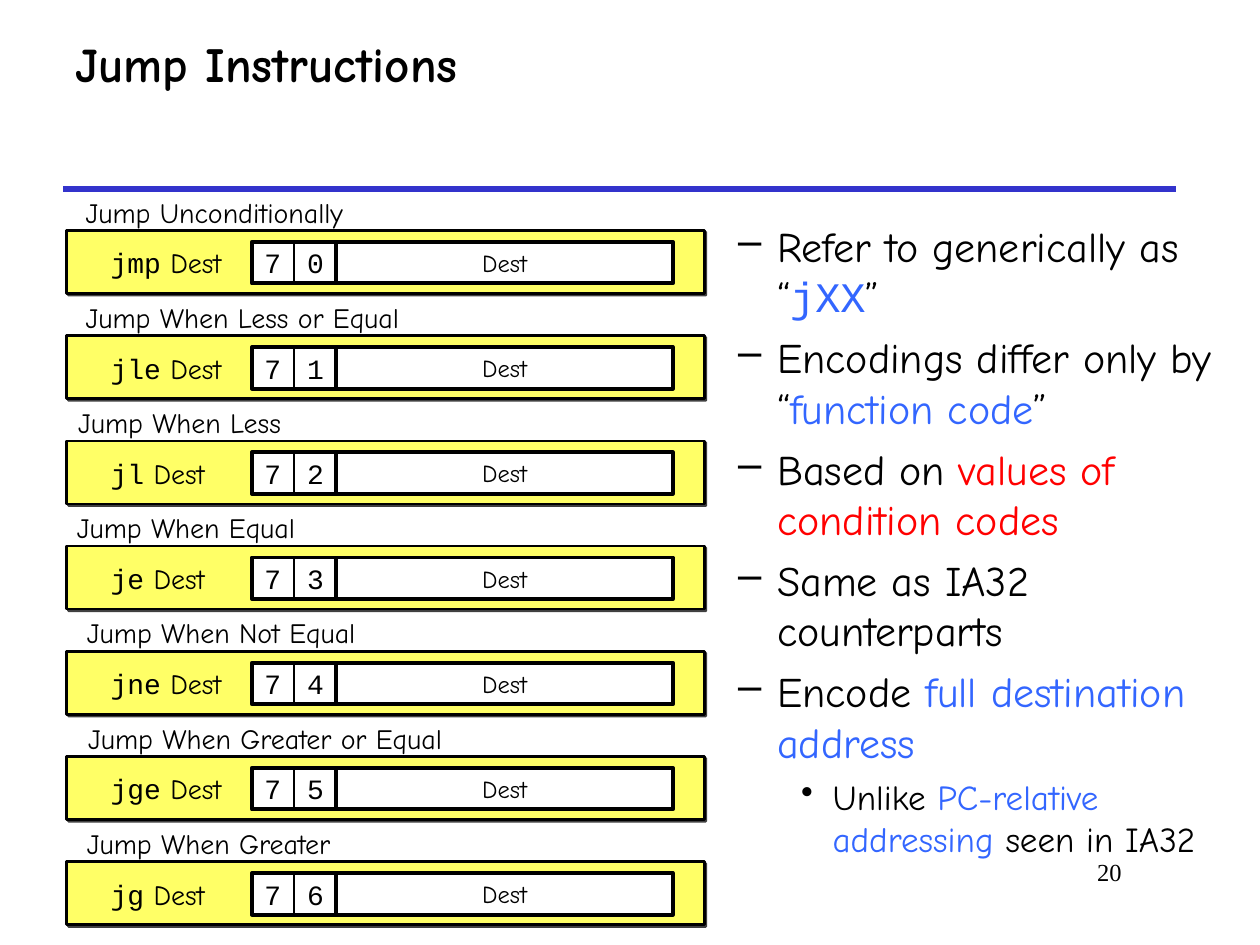
from lxml import etree
from pptx import Presentation
from pptx.dml.color import RGBColor
from pptx.enum.shapes import MSO_CONNECTOR, MSO_SHAPE
from pptx.enum.text import MSO_ANCHOR, MSO_AUTO_SIZE, PP_ALIGN
from pptx.oxml.ns import qn
from pptx.util import Inches, Pt

RECT, STRAIGHT = MSO_SHAPE.RECTANGLE, MSO_CONNECTOR.STRAIGHT
TOP, MIDDLE = MSO_ANCHOR.TOP, MSO_ANCHOR.MIDDLE
LEFT, CENTER, RIGHT = PP_ALIGN.LEFT, PP_ALIGN.CENTER, PP_ALIGN.RIGHT
GROW = MSO_AUTO_SIZE.SHAPE_TO_FIT_TEXT

COLORS = {"black": "000000", "white": "FFFFFF", "yellow": "FFFF66",
          "rule": "3333CC", "blue": "3366FF", "red": "FF0000"}
COMIC, MONO, SERIF = "Comic Neue", "Courier New", "Times New Roman"

TITLE = "Jump Instructions"
PAGE_NUMBER = "20"

# mnemonic, label, label left, label width; the row index is the function code
JUMPS = [
    ("jmp", "Jump Unconditionally", 0.63, 2.16),
    ("jle", "Jump When Less or Equal", 0.63, 2.61),
    ("jl", "Jump When Less", 0.57, 1.74),
    ("je", "Jump When Equal", 0.56, 1.85),
    ("jne", "Jump When Not Equal", 0.64, 2.25),
    ("jge", "Jump When Greater or Equal", 0.65, 2.94),
    ("jg", "Jump When Greater", 0.64, 2.06),
]

# level, runs of (text, colour, font)
NOTES = [
    (1, [("Refer to generically as “", "black", COMIC), ("jXX", "blue", MONO),
         ("”", "black", COMIC)]),
    (1, [("Encodings differ only by “", "black", COMIC),
         ("function code", "blue", COMIC), ("”", "black", COMIC)]),
    (1, [("Based on ", "black", COMIC),
         ("values of condition codes", "red", COMIC)]),
    (1, [("Same as IA32 counterparts", "black", COMIC)]),
    (1, [("Encode ", "black", COMIC),
         ("full destination address", "blue", COMIC)]),
    (2, [("Unlike ", "black", COMIC),
         ("PC-relative addressing ", "blue", COMIC),
         ("seen in IA32", "black", COMIC)]),
]
# level: bullet, left margin, hanging indent, size, space before
LEVELS = {1: ("–", 0.81, 0.31, 24, 6), 2: ("•", 1.25, 0.25, 20, 5)}

FIRST_TOP, LAST_TOP = 1.83, 6.84
PITCH = (LAST_TOP - FIRST_TOP) / (len(JUMPS) - 1)
CELL, FIELD_INSET, LABEL_RISE = 0.33, 0.09, 0.33


def rgb(name):
    return RGBColor.from_string(COLORS[name])


def add_runs(p, runs, size, bold=False):
    for text, color, font in runs:
        r = p.add_run()
        r.text = text
        r.font.name, r.font.size, r.font.bold = font, Pt(size), bold
        r.font.color.rgb = rgb(color)


def put_text(sp, runs, size, align=LEFT, anchor=MIDDLE, inset=0.1,
             wrap=False, bold=False):
    tf = sp.text_frame
    tf.word_wrap, tf.vertical_anchor = wrap, anchor
    tf.margin_left = tf.margin_right = Inches(inset)
    tf.margin_top = tf.margin_bottom = Inches(0.05)
    p = tf.paragraphs[0]
    p.alignment = align
    add_runs(p, runs, size, bold)


def add_box(shapes, left, top, width, height):
    return shapes.add_textbox(Inches(left), Inches(top), Inches(width), Inches(height))


def add_rect(shapes, left, top, width, height, fill, weight):
    sp = shapes.add_shape(RECT, Inches(left), Inches(top), Inches(width), Inches(height))
    if fill:
        sp.fill.solid()
        sp.fill.fore_color.rgb = rgb(fill)
    else:
        sp.fill.background()
    sp.line.color.rgb = rgb("black")
    sp.line.width = Pt(weight)
    sp.shadow.inherit = False
    return sp


def drop_shadow(sp):
    effects = sp._element.spPr.find(qn("a:effectLst"))
    shadow = etree.SubElement(effects, qn("a:outerShdw"), dist=str(Pt(1.4)),
                              dir=str(45 * 60000), algn="ctr", rotWithShape="0")
    color = etree.SubElement(shadow, qn("a:srgbClr"), val=COLORS["black"])
    etree.SubElement(color, qn("a:alpha"), val="75000")


def add_jump(slide, code, mnemonic, label, label_left, label_width):
    shapes = slide.shapes.add_group_shape().shapes
    top = FIRST_TOP + code * PITCH
    field_top = top + FIELD_INSET
    drop_shadow(add_rect(shapes, 0.53, top, 5.06, 0.5, "yellow", 1.5))
    put_text(add_box(shapes, 0.78, field_top, 1.22, CELL),
             [(mnemonic, "black", MONO), (" Dest", "black", COMIC)], 16)
    for left, digit in ((2, "7"), (2.34, str(code))):
        put_text(add_rect(shapes, left, field_top, CELL, CELL, "white", 0.5),
                 [(digit, "black", MONO)], 16)
    add_rect(shapes, 2, field_top, 0.67, CELL, None, 2.25)
    label_box = add_box(shapes, label_left, top - LABEL_RISE, label_width, 0.37)
    put_text(label_box, [(label, "black", COMIC)], 16, anchor=TOP, inset=0.05)
    label_box.text_frame.auto_size = GROW
    put_text(add_rect(shapes, 2.67, field_top, 2.67, CELL, "white", 2.25),
             [("Dest", "black", COMIC)], 14, align=CENTER)


def add_notes(slide):
    tf = add_box(slide.shapes, 5.26, 1.7, 4.74, 5.71).text_frame
    tf.word_wrap = True
    for i, (level, runs) in enumerate(NOTES):
        bullet, margin, hang, size, before = LEVELS[level]
        p = tf.add_paragraph() if i else tf.paragraphs[0]
        p.level = level
        if i:
            p.space_before = Pt(before)
        pPr = p._p.get_or_add_pPr()
        pPr.set("marL", str(Inches(margin)))
        pPr.set("indent", str(-Inches(hang)))
        color = etree.SubElement(pPr, qn("a:buClr"))
        etree.SubElement(color, qn("a:srgbClr"), val=COLORS["black"])
        etree.SubElement(pPr, qn("a:buChar"), char=bullet)
        add_runs(p, runs, size)


def main():
    prs = Presentation()
    prs.slide_width, prs.slide_height = Inches(10), Inches(7.5)
    slide = prs.slides.add_slide(prs.slide_layouts[6])

    rule = slide.shapes.add_connector(STRAIGHT, Inches(0.5), Inches(1.5),
                                      Inches(9.33), Inches(1.5))
    rule.line.color.rgb = rgb("rule")
    rule.line.width = Pt(3)
    etree.SubElement(rule._element.spPr, qn("a:effectLst"))

    put_text(add_box(slide.shapes, 0.5, 0, 8.83, 1),
             [(TITLE, "black", COMIC)], 28, wrap=True, bold=True)
    add_notes(slide)
    for code, jump in enumerate(JUMPS):
        add_jump(slide, code, *jump)
    put_text(add_box(slide.shapes, 7.58, 6.75, 1.42, 0.5),
             [(PAGE_NUMBER, "black", SERIF)], 14, align=RIGHT, anchor=TOP, wrap=True)
    prs.save("out.pptx")


if __name__ == "__main__":
    main()
